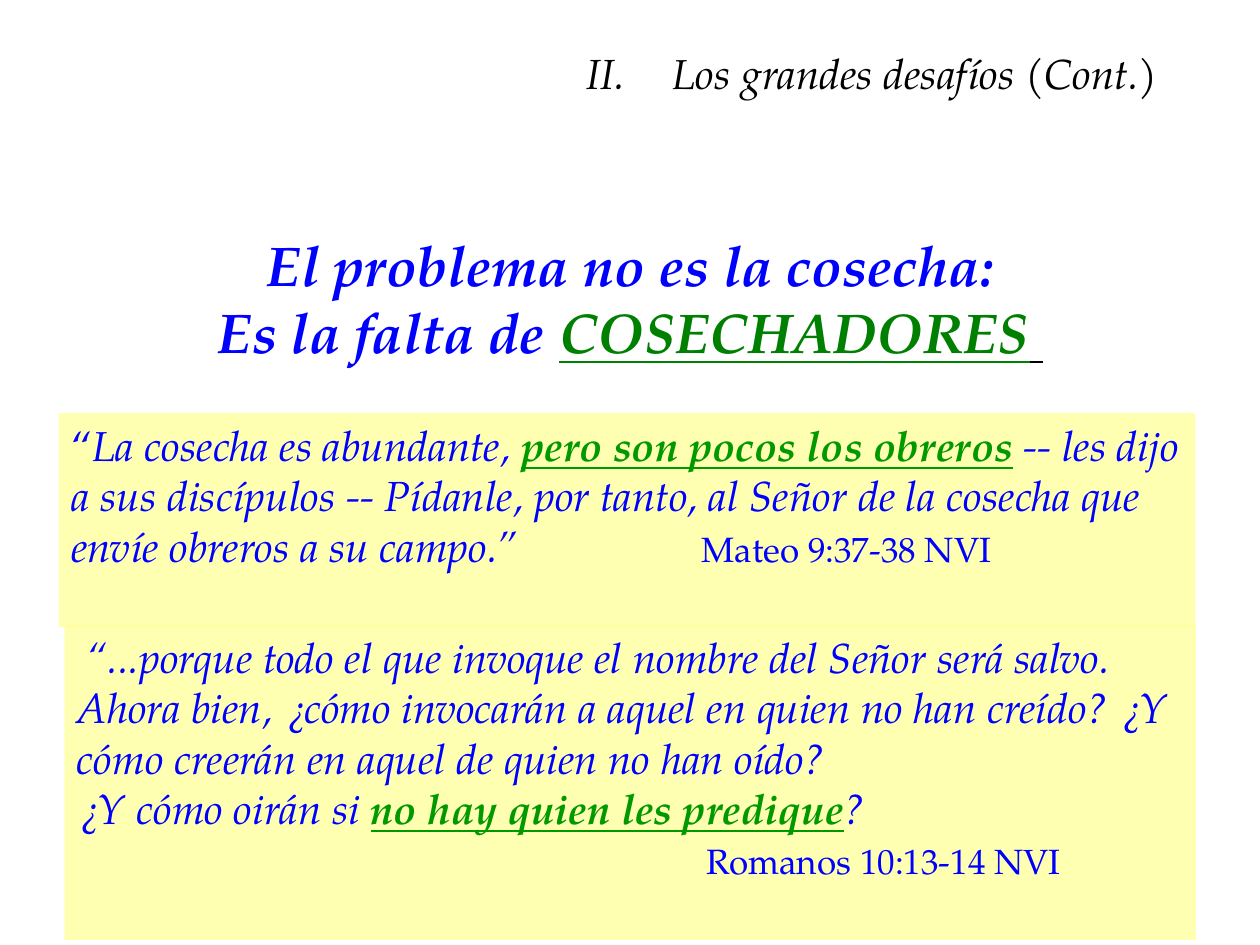
from lxml.etree import SubElement
from pptx import Presentation
from pptx.dml.color import RGBColor
from pptx.enum.shapes import MSO_SHAPE as Shape
from pptx.enum.text import MSO_ANCHOR as Anchor, MSO_AUTO_SIZE as AutoSize, PP_ALIGN as Align
from pptx.oxml.ns import qn
from pptx.util import Cm, Pt

FONT = "TeX Gyre Pagella"
BLACK, BLUE, GREEN, DARK_GREEN, YELLOW = "000000", "0000FF", "009900", "008000", "FFFF99"
REFERENCE_TAB = Cm(12.7)


def colour(value):
    """Turn a hex string into a colour."""
    return RGBColor.from_string(value)


def place(shape, box):
    """Move a shape to a box of left, top, width and height in centimetres."""
    shape.left, shape.top, shape.width, shape.height = map(Cm, box)


def prepare_frame(shape):
    """Give a shape a wrapping, top-anchored text frame and return it."""
    frame = shape.text_frame
    frame.word_wrap = True
    frame.auto_size = AutoSize.NONE
    frame.vertical_anchor = Anchor.TOP
    return frame


def style_paragraph(para, size, value, italic=True, bold=False, align=Align.LEFT):
    """Set the shared font and alignment of a paragraph."""
    para.alignment = align
    font = para.font
    font.name, font.size = FONT, Pt(size)
    font.italic, font.bold = italic, bold
    font.color.rgb = colour(value)


def add_span(para, text, **changes):
    """Add a run, changing only the given font settings."""
    span = para.add_run()
    span.text = text
    for name, value in changes.items():
        if name == "color":
            span.font.color.rgb = colour(value)
        elif name == "size":
            span.font.size = Pt(value)
        else:
            setattr(span.font, name, value)


def add_stress(para, text):
    """Add a bold underlined green run."""
    add_span(para, text, color=GREEN, bold=True, underline=True)


def add_reference_tab(para):
    """Add the tab stop at which a Bible reference begins."""
    tabs = SubElement(para._p.get_or_add_pPr(), qn("a:tabLst"))
    SubElement(tabs, qn("a:tab"), pos=str(REFERENCE_TAB), algn="l")


def fill_title(page, box):
    """Fill the title with the numbered section heading."""
    title = page.shapes.title
    place(title, box)
    para = prepare_frame(title).paragraphs[0]
    properties = para._p.get_or_add_pPr()
    properties.set("marL", str(Cm(1.73)))
    properties.set("indent", str(Cm(-1.73)))
    bullet_colour = SubElement(properties, qn("a:buClr"))
    SubElement(bullet_colour, qn("a:srgbClr"), val=BLACK)
    SubElement(properties, qn("a:buAutoNum"), type="romanUcPeriod", startAt="2")
    style_paragraph(para, 24, BLACK, align=Align.CENTER)
    add_span(para, "Los grandes desafíos (Cont.)")


def add_statement(page, box):
    """Add the two-line main statement."""
    frame = prepare_frame(page.shapes.add_textbox(*map(Cm, box)))
    first, second = frame.paragraphs[0], frame.add_paragraph()
    for para in (first, second):
        style_paragraph(para, 32, BLUE, bold=True, align=Align.CENTER)
    add_span(first, "El problema no es la cosecha:")
    add_span(second, "Es la falta de ")
    add_span(second, "COSECHADORES", color=DARK_GREEN, underline=True)
    add_span(second, " ", color=BLACK, underline=True)


def add_panel(page, box):
    """Add a translucent yellow panel and return its text frame."""
    panel = page.shapes.add_shape(Shape.RECTANGLE, *map(Cm, box))
    panel.shadow.inherit = False
    panel.fill.solid()
    panel.fill.fore_color.rgb = colour(YELLOW)
    fill = panel._element.spPr.find(qn("a:solidFill"))
    SubElement(fill[0], qn("a:alpha"), val="75000")
    panel.line.fill.background()
    return prepare_frame(panel)


def add_matthew(page, box):
    """Add the panel with the verse from Matthew."""
    para = add_panel(page, box).paragraphs[0]
    add_reference_tab(para)
    style_paragraph(para, 24, BLUE)
    add_span(para, "“", italic=False)
    add_span(para, "La cosecha es abundante, ")
    add_stress(para, "pero son pocos los obreros")
    add_span(para, " -- les dijo a sus discípulos -- Pídanle, por tanto, al Señor "
                   "de la cosecha que envíe obreros a su campo.”\t")
    add_span(para, "Mateo 9:37-38 NVI", size=20, italic=False)


def add_romans(page, box):
    """Add the panel with the verses from Romans."""
    frame = add_panel(page, box)
    opening = frame.paragraphs[0]
    question, answer, reference = (frame.add_paragraph() for _ in range(3))
    opening._p.get_or_add_pPr().set("indent", str(Cm(0.2)))
    add_reference_tab(reference)
    for para in (opening, question, answer, reference):
        style_paragraph(para, 24, BLUE)
    add_span(opening, "“...porque todo el que invoque el nombre del Señor será salvo.")
    add_span(question, "Ahora bien, ¿cómo invocarán a aquel en quien no han creído? "
                       "¿Y cómo creerán en aquel de quien no han oído?")
    add_span(answer, "¿Y cómo oirán si ")
    add_stress(answer, "no hay quien les predique")
    add_span(answer, "?")
    add_span(reference, "\t")
    add_span(reference, "Romanos 10:13-14 NVI", size=20, italic=False)


def main():
    """Build and save the slide."""
    deck = Presentation()
    deck.slide_width, deck.slide_height = Cm(25.4), Cm(19.05)
    page = deck.slides.add_slide(deck.slide_layouts[5])
    fill_title(page, (10.69, 0.84, 13.79, 1.27))
    add_statement(page, (3.71, 4.52, 18.01, 2.97))
    add_matthew(page, (1.19, 8.33, 22.91, 4.32))
    add_romans(page, (1.3, 12.6, 22.81, 6.35))
    deck.save("out.pptx")


if __name__ == "__main__":
    main()
